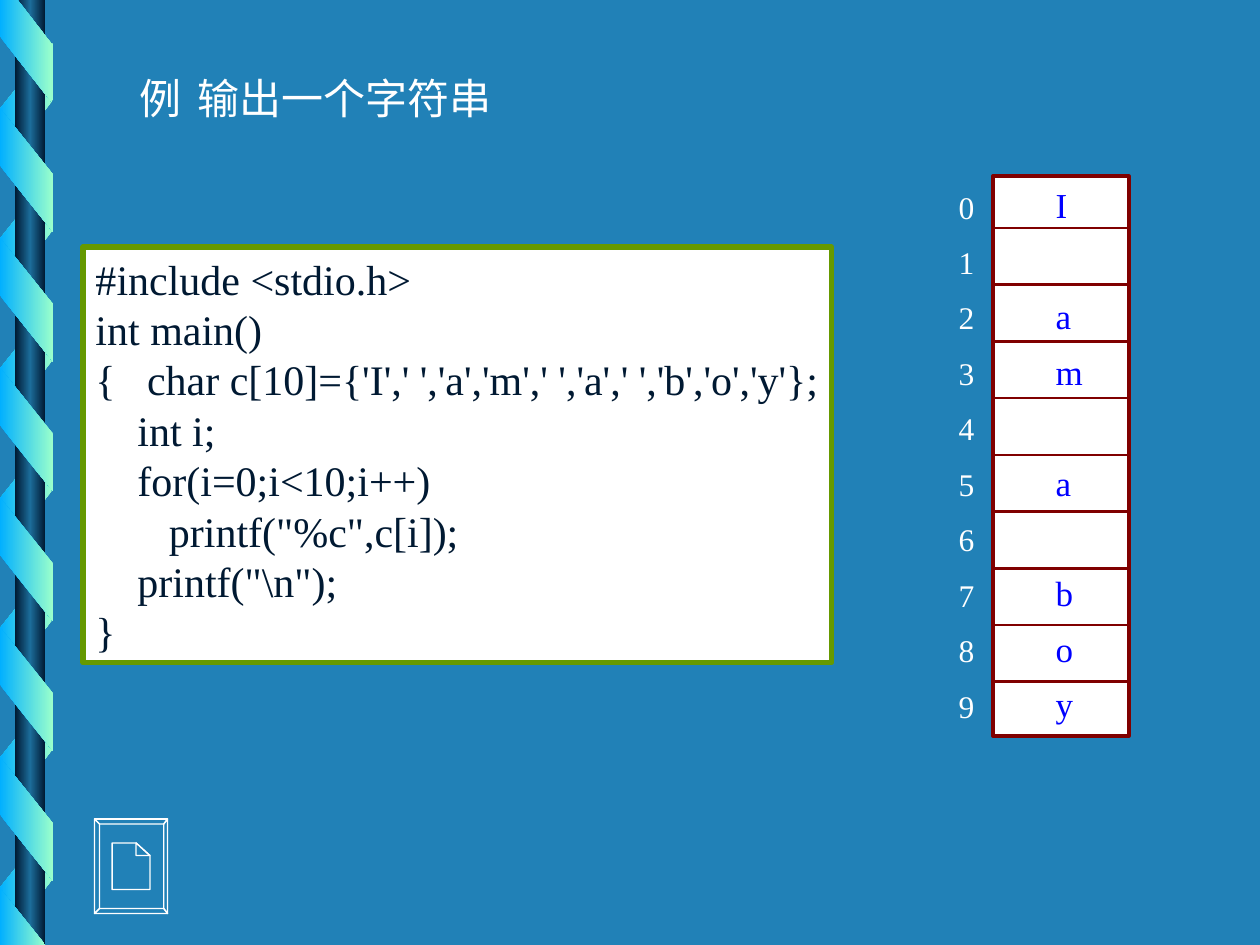
"""Build the slide on printing a string held in a character array."""
from copy import deepcopy

from pptx import Presentation
from pptx.dml.color import RGBColor
from pptx.enum.shapes import MSO_CONNECTOR, MSO_SHAPE
from pptx.enum.text import MSO_ANCHOR, MSO_AUTO_SIZE, PP_ALIGN
from pptx.oxml.ns import qn
from pptx.util import Inches, Pt

RECTANGLE = MSO_SHAPE.RECTANGLE
PARALLELOGRAM = MSO_SHAPE.PARALLELOGRAM
STRAIGHT = MSO_CONNECTOR.STRAIGHT
LEFT = PP_ALIGN.LEFT
FRAME_FORMAT = {
    "margin_left": Inches(0.1),
    "margin_right": Inches(0.1),
    "margin_top": Inches(0.05),
    "margin_bottom": Inches(0.05),
    "word_wrap": False,
    "auto_size": MSO_AUTO_SIZE.SHAPE_TO_FIT_TEXT,
    "vertical_anchor": MSO_ANCHOR.TOP,
}
BLUE, WHITE, NAVY, MAROON = "2181B7", "FFFFFF", "001932", "800000"
AQUA, MINT = "01B0FF", "99FFCC"
rgb = RGBColor.from_string


def shade(shape, colors, angle):
    shape.shadow.inherit = False
    shape.line.fill.background()
    shape.fill.gradient()
    shape.fill.gradient_angle = angle
    stops = shape.fill.gradient_stops
    if len(colors) > len(stops):
        first = shape._element.spPr.find(".//" + qn("a:gs"))
        first.addnext(deepcopy(first))
        stops = shape.fill.gradient_stops
    for index, (stop, color) in enumerate(zip(stops, colors)):
        stop.color.rgb = rgb(color)
        stop.position = index / (len(colors) - 1)


def write(shape, paragraphs, color):
    frame = shape.text_frame
    for name, value in FRAME_FORMAT.items():
        setattr(frame, name, value)
    for index, pieces in enumerate(paragraphs):
        paragraph = frame.add_paragraph() if index else frame.paragraphs[0]
        paragraph.alignment = LEFT
        for text, size in pieces:
            run = paragraph.add_run()
            run.text = text
            run.font.size = Pt(size)
            run.font.name = "Times New Roman"
            run.font.color.rgb = rgb(color)


prs = Presentation()
prs.slide_width, prs.slide_height = Inches(10), Inches(7.5)
slide = prs.slides.add_slide(prs.slide_layouts[6])
slide.background.fill.solid()
slide.background.fill.fore_color.rgb = rgb(BLUE)
shapes = slide.shapes

# Ribbon winding around the rod
for turn in range(7):
    back = shapes.add_shape(PARALLELOGRAM, Inches(-0.28), Inches(0.62 + 1.03 * turn),
                            Inches(0.98), Inches(0.42))
    back.adjustments[0] = 1.25
    back.rotation = 90
    back._element.spPr.xfrm.set("flipH", "1")
    shade(back, [MINT, AQUA], 270)

rod = shapes.add_shape(RECTANGLE, Inches(0.12), 0, Inches(0.24), Inches(7.5))
shade(rod, [NAVY, "1C6D9A", NAVY], 0)

for turn in range(6):
    front = shapes.add_shape(PARALLELOGRAM, Inches(-0.28), Inches(1.14 + 1.03 * turn),
                             Inches(0.98), Inches(0.42))
    front.adjustments[0] = 1.25
    front.rotation = 270
    shade(front, [AQUA, MINT], 270)

ribbon_ends = [
    [(0, 0), (0, 0.29), (0.41, 0.81), (0.41, 0.35), (0.14, 0)],
    [(0.36, 7.5), (0, 7.05), (0, 7.5)],
]
for start, *others in ribbon_ends:
    outline = shapes.build_freeform(Inches(start[0]), Inches(start[1]))
    outline.add_line_segments([(Inches(x), Inches(y)) for x, y in others])
    shade(outline.convert_to_shape(), [AQUA, MINT], 0)

# Document button
outer = [(0.75, 6.5), (1.33, 6.5), (1.33, 7.25), (0.75, 7.25)]
inner = [(0.79, 6.54), (1.3, 6.54), (1.3, 7.21), (0.79, 7.21)]
bevels = [[outer[i], outer[(i + 1) % 4], inner[(i + 1) % 4], inner[i]] for i in range(4)]
page = [(0.89, 6.69), (1.08, 6.69), (1.19, 6.79), (1.19, 7.06), (0.89, 7.06)]
fold = [(1.08, 6.69), (1.19, 6.79), (1.08, 6.79)]
outline = shapes.build_freeform(Inches(0.75), Inches(6.5))
for contour in [outer, *bevels, page, fold]:
    points = [(Inches(x), Inches(y)) for x, y in contour]
    outline.move_to(*points[0])
    outline.add_line_segments(points[1:])
button = outline.convert_to_shape()

title = shapes.add_textbox(Inches(1.01), Inches(0.53), Inches(2.99), Inches(0.5))
write(title, [[("例", 24), ("  ", 20), ("输出一个字符串", 24)]], WHITE)

program = r"""#include <stdio.h>
int main()
{   char c[10]={'I',' ','a','m',' ','a',' ','b','o','y'};
    int i;
    for(i=0;i<10;i++)
       printf("%c",c[i]);
    printf("\n");
}"""
code = shapes.add_shape(RECTANGLE, Inches(0.66), Inches(1.96), Inches(5.94), Inches(3.3))
write(code, [[(line, 24)] for line in program.splitlines()], NAVY)

# Array of ten cells
array = shapes.add_shape(RECTANGLE, Inches(7.88), Inches(1.4), Inches(1.08), Inches(4.44))
for panel, fill, line, width in [(button, BLUE, WHITE, 0.75), (code, WHITE, "669900", 3),
                                 (array, WHITE, MAROON, 2.25)]:
    panel.shadow.inherit = False
    panel.fill.solid()
    panel.fill.fore_color.rgb = rgb(fill)
    panel.line.color.rgb = rgb(line)
    panel.line.width = Pt(width)

for row in range(9):
    y = Inches(1.81 + 0.45 * row)
    divider = shapes.add_connector(STRAIGHT, Inches(7.9), y, Inches(8.98), y)
    divider.line.color.rgb = rgb(MAROON)
    divider.line.width = Pt(1.5)
    divider._element.spPr.add_effectLst() if hasattr(
        divider._element.spPr, "add_effectLst") else divider._element.spPr.append(
        divider._element.spPr.makeelement(qn("a:effectLst"), {}))

letter_widths = {"I": 0.29, "a": 0.32, "m": 0.41}
for index, letter in enumerate("I am a boy"):
    y = 0.44 * index
    label = shapes.add_textbox(Inches(7.51), Inches(1.44 + y), Inches(0.32), Inches(0.4))
    write(label, [[(str(index), 18)]], WHITE)
    if letter != " ":
        cell = shapes.add_textbox(Inches(8.28), Inches(1.41 + y),
                                  Inches(letter_widths.get(letter, 0.34)), Inches(0.44))
        write(cell, [[(letter, 20)]], "0000FF")

prs.save("out.pptx")
